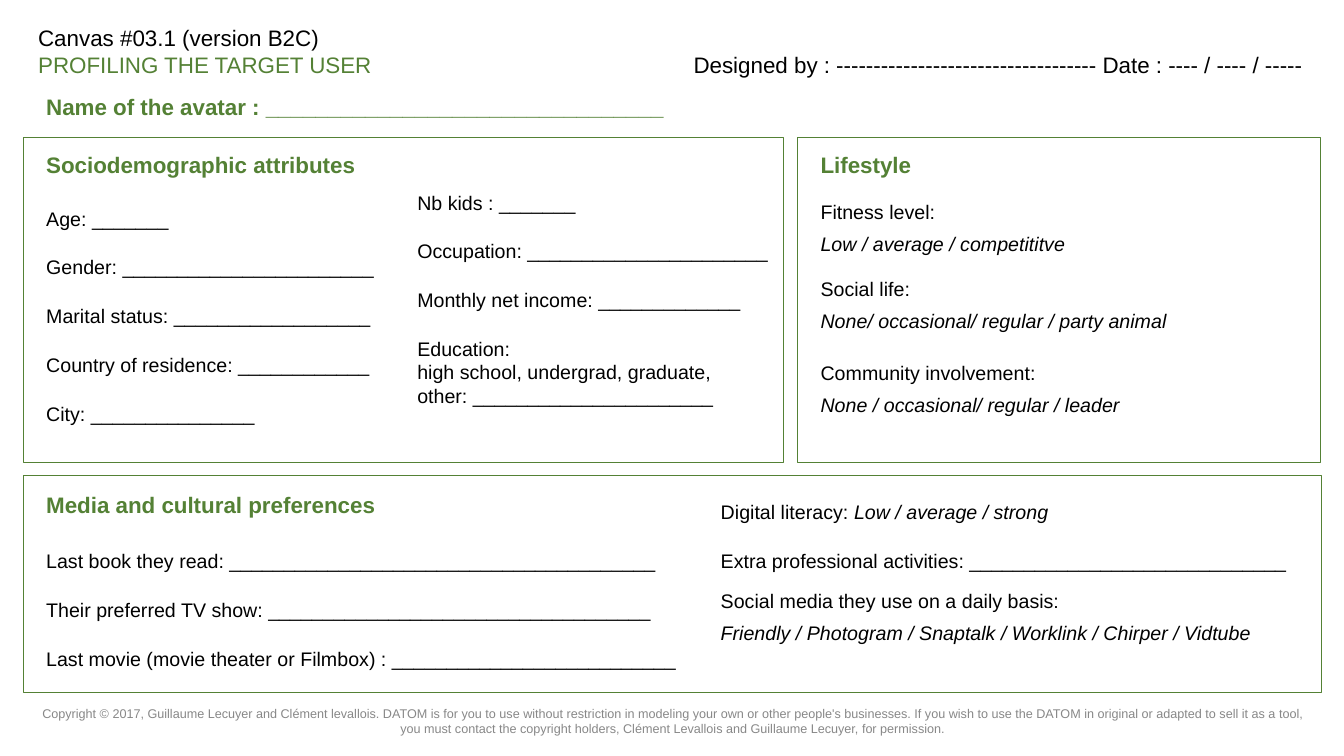
from pptx import Presentation
from pptx.dml.color import RGBColor
from pptx.enum.shapes import MSO_SHAPE
from pptx.enum.text import MSO_ANCHOR, PP_ALIGN
from pptx.util import Inches, Pt

GREEN = RGBColor(0x54, 0x81, 0x35)
BLACK = RGBColor(0x00, 0x00, 0x00)
GRAY = RGBColor(0x88, 0x88, 0x88)

# Text formats
TITLE = {"size": Pt(16), "color": BLACK}
TITLE_GREEN = {"size": Pt(16), "color": GREEN}
HEADING = {"size": Pt(16), "color": GREEN, "bold": True}
BODY = {"size": Pt(14), "color": BLACK}
CHOICES = {"size": Pt(14), "color": BLACK, "italic": True}
FOOTER = {"size": Pt(9), "color": GRAY}

# Columns shared by the panels and their text
LEFT, LIFE = 0.36, 8.04

# Panels: left, top, width, height
PANELS = [
    (0.23, 4.72, 12.88, 2.15),
    (7.91, 1.36, 5.19, 3.23),
    (0.23, 1.36, 7.54, 3.23),
]

COPYRIGHT = (
    "Copyright © 2017, Guillaume Lecuyer and Clément levallois. DATOM is for you to use "
    "without restriction in modeling your own or other people's businesses. If you wish to "
    "use the DATOM in original or adapted to sell it as a tool, you must contact the "
    "copyright holders, Clément Levallois and Guillaume Lecuyer, for permission."
)
DESIGNED_BY = "Designed by : ----------------------------------- Date : ---- / ---- / -----"

# Headings: left, top, width, text
HEADINGS = [
    (LIFE, 1.45, 5.07, "Lifestyle"),
    (LEFT, 1.45, 5.93, "Sociodemographic attributes"),
    (LEFT, 4.82, 5.93, "Media and cultural preferences"),
    (LEFT, 0.87, 7.04, "Name of the avatar : ________________________________"),
]

# Form fields: position, then (space before in points, text)
FIELDS = [
    ((LEFT, 1.95, 3.55, 2.49), [
        (0, "Age: _______"),
        (18, "Gender: _______________________"),
        (18, "Marital status: __________________"),
        (18, "Country of residence: ____________"),
        (18, "City: _______________"),
    ]),
    ((4.04, 1.79, 3.69, 2.38), [
        (0, "Nb kids : _______"),
        (18, "Occupation: ______________________"),
        (18, "Monthly net income: _____________"),
        (18, "Education:"),
        (0, "high school, undergrad, graduate,"),
        (0, "other: ______________________"),
    ]),
    ((LEFT, 5.35, 6.46, 1.47), [
        (0, "Last book they read: _______________________________________"),
        (18, "Their preferred TV show: ___________________________________"),
        (18, "Last movie (movie theater or Filmbox) : __________________________"),
    ]),
]

# Lifestyle questions: top, question, choices
LIFESTYLE = [
    (1.88, "Fitness level:", "Low / average / competititve"),
    (2.65, "Social life:", "None/ occasional/ regular / party animal"),
    (3.48, "Community involvement:", "None / occasional/ regular / leader"),
]

# Digital habits: space before, runs
DIGITAL = [
    (0, [("Digital literacy: ", BODY), ("Low / average / strong", CHOICES)]),
    (18, [("Extra professional activities: _____________________________", BODY)]),
    (12, [("Social media they use on a daily basis:", BODY)]),
    (6, [("Friendly / Photogram / Snaptalk / Worklink / Chirper / Vidtube", CHOICES)]),
]

prs = Presentation()
prs.slide_width, prs.slide_height = Inches(13.33), Inches(7.5)
s = prs.slides.add_slide(prs.slide_layouts[6])


def add_text(box, paragraphs, inset=0.1, anchor=MSO_ANCHOR.TOP, **para_format):
    """Add a text box; paragraphs are (space before, runs), a None run breaks the line."""
    tf = s.shapes.add_textbox(*map(Inches, box)).text_frame
    frame = {"word_wrap": True, "vertical_anchor": anchor,
             "margin_left": Inches(0.1), "margin_right": Inches(0.1),
             "margin_top": Inches(inset), "margin_bottom": Inches(inset)}
    for name, value in frame.items():
        setattr(tf, name, value)
    for i, (before, runs) in enumerate(paragraphs):
        p = tf.add_paragraph() if i else tf.paragraphs[0]
        for name, value in {"space_before": Pt(before), **para_format}.items():
            setattr(p, name, value)
        for run in runs:
            if run is None:
                p.add_line_break()
                continue
            text, style = run
            r = p.add_run()
            r.text = text
            r.font.name = "Arial"
            for name, value in style.items():
                if name == "color":
                    r.font.color.rgb = value
                else:
                    setattr(r.font, name, value)


# Footer and title line
add_text((0.31, 6.94, 12.72, 0.42), [(0, [(COPYRIGHT, FOOTER)])], 0.05,
         MSO_ANCHOR.MIDDLE, alignment=PP_ALIGN.CENTER)
add_text((0.28, 0.14, 6.39, 0.44), [(0, [
    ("Canvas #03.1 (version B2C)", TITLE), None,
    ("PROFILING THE TARGET USER", TITLE_GREEN)])])
add_text((6.78, 0.14, 6.39, 0.44), [(0, [(DESIGNED_BY, TITLE)])],
         line_spacing=2.0, space_after=Pt(6))

# Panels
for panel in PANELS:
    sp = s.shapes.add_shape(MSO_SHAPE.RECTANGLE, *map(Inches, panel))
    sp.shadow.inherit = False
    sp.fill.background()
    sp.line.color.rgb = GREEN
    sp.line.width = Pt(0.75)

# Headings
for left, top, width, text in HEADINGS:
    add_text((left, top, width, 0.37), [(0, [(text, HEADING)])], 0.05)

# Form fields
for box, lines in FIELDS:
    add_text(box, [(before, [(text, BODY)]) for before, text in lines])
for top, question, choices in LIFESTYLE:
    add_text((LIFE, top, 3.69, 0.77),
             [(0, [(question, BODY)]), (6, [(choices, CHOICES)])])
add_text((7.05, 4.86, 5.99, 1.87), DIGITAL)

prs.save("out.pptx")
